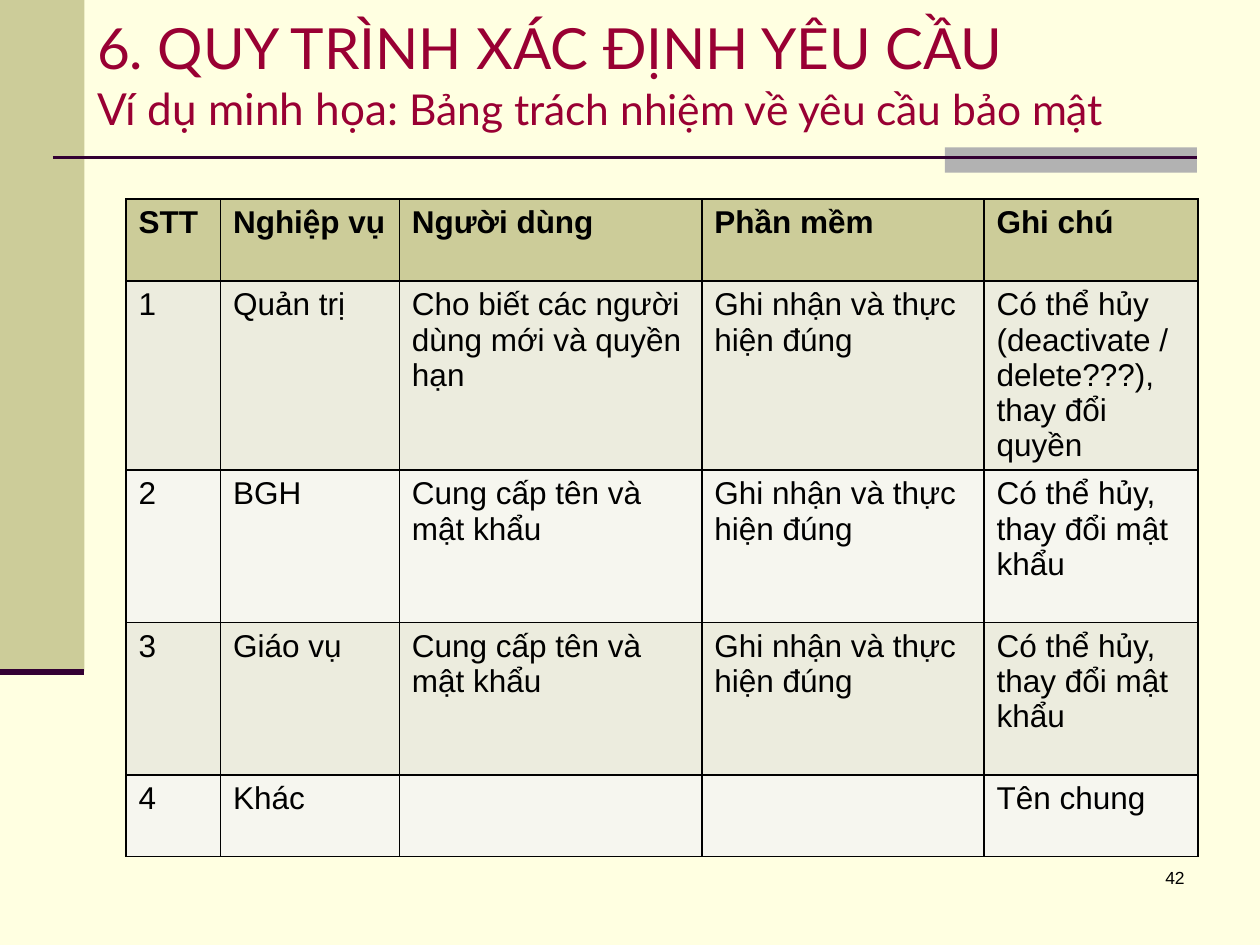
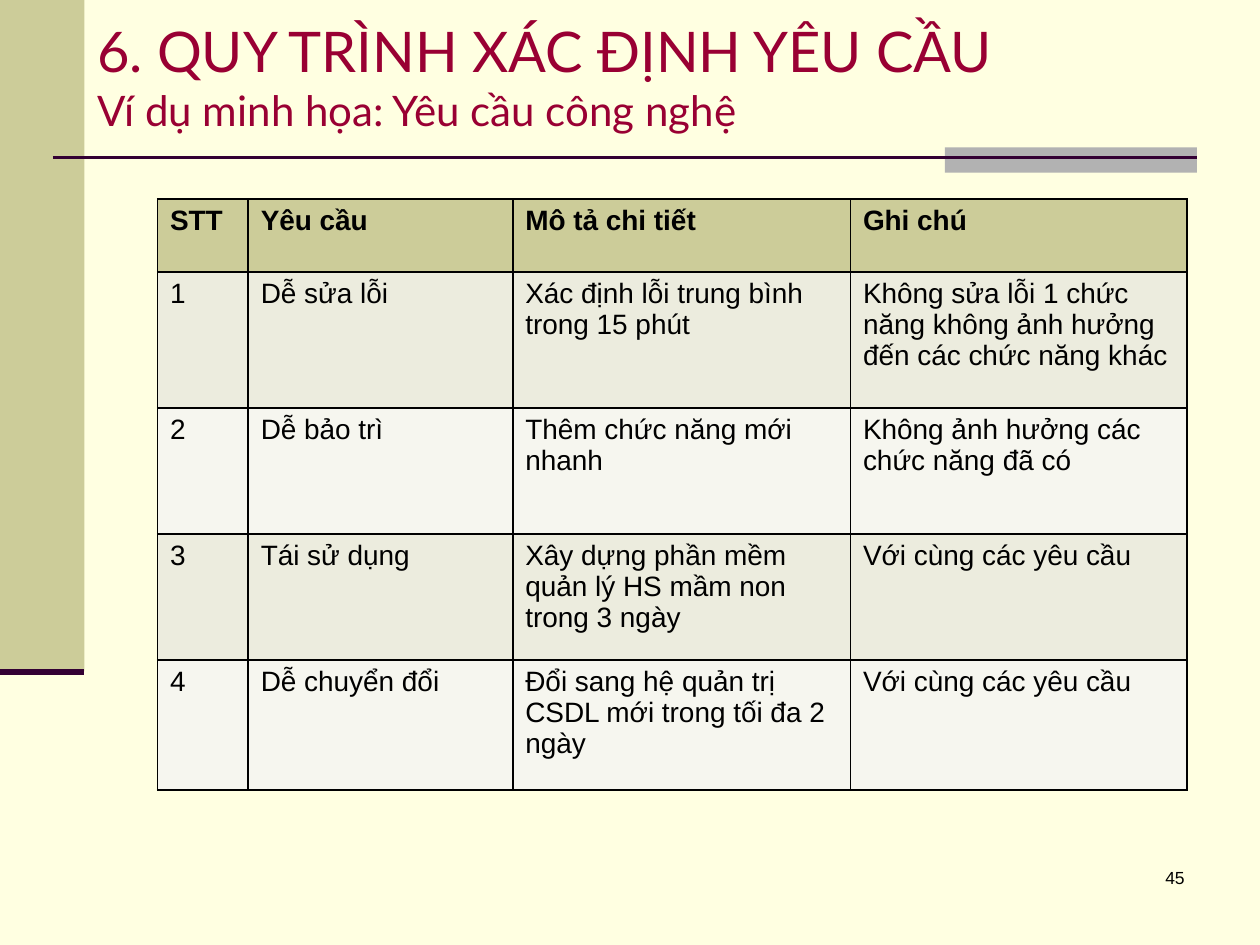
from lxml.etree import SubElement
from pptx import Presentation
from pptx.dml.color import RGBColor
from pptx.enum.shapes import MSO_CONNECTOR, MSO_SHAPE
from pptx.enum.text import MSO_ANCHOR, MSO_AUTO_SIZE, PP_ALIGN
from pptx.oxml.ns import qn
from pptx.util import Inches, Pt

CREAM = RGBColor(0xFF, 0xFF, 0xE1)
KHAKI = RGBColor(0xCC, 0xCC, 0x99)
GREY = RGBColor(0xB2, 0xB2, 0xB2)
PLUM = RGBColor(0x33, 0x00, 0x33)
CRIMSON = RGBColor(0x99, 0x00, 0x33)
BLACK = RGBColor(0, 0, 0)
ROW_FILLS = (RGBColor(0xF6, 0xF6, 0xEF), RGBColor(0xEC, 0xEC, 0xDE))

TITLE_FONT, BODY_FONT = "Lato", "Arial"
SIDE_WIDTH, SIDE_HEIGHT = 0.67, 5.33
RIGHT_EDGE = 9.5
RULE_TOP = 1.25
TABLE_TOP = 1.58

HEADING = "6. QUY TRÌNH XÁC ĐỊNH YÊU CẦU"
EXAMPLE = "Ví dụ minh họa: "
RECORD = "Ghi nhận và thực hiện đúng"
SUPPLY = "Cung cấp tên và mật khẩu"
CANCEL = "Có thể hủy, thay đổi mật khẩu"
SAME_REQUESTS = "Với cùng các yêu cầu"

SLIDES = [
    {
        "number": 42,
        "title_size": (9.33, 1.17),
        "title": [(HEADING, 32.4), (EXAMPLE, 25.2), ("Bảng trách nhiệm về yêu cầu bảo mật", 24.3)],
        "left": 1,
        "font_size": 18,
        "columns": [0.75, 1.42, 2.4, 2.24, 1.7],
        "heights": [0.65, 1.5, 1.21, 1.21, 0.65],
        "rows": [
            ("STT", "Nghiệp vụ", "Người dùng", "Phần mềm", "Ghi chú"),
            ("1", "Quản trị", "Cho biết các người dùng mới và quyền hạn", RECORD,
             "Có thể hủy (deactivate / delete???), thay đổi quyền"),
            ("2", "BGH", SUPPLY, RECORD, CANCEL),
            ("3", "Giáo vụ", SUPPLY, RECORD, CANCEL),
            ("4", "Khác", "", "", "Tên chung"),
        ],
    },
    {
        "number": 45,
        "title_size": (8.83, 1.2),
        "title": [(HEADING, 32), (EXAMPLE + "Yêu cầu công nghệ", 24)],
        "left": 1.25,
        "font_size": 16,
        "columns": [0.72, 2.1, 2.68, 2.67],
        "heights": [0.58, 1.08, 1, 1, 1.03],
        "rows": [
            ("STT", "Yêu cầu", "Mô tả chi tiết", "Ghi chú"),
            ("1", "Dễ sửa lỗi", "Xác định lỗi trung bình trong 15 phút",
             "Không sửa lỗi 1 chức năng không ảnh hưởng đến các chức năng khác"),
            ("2", "Dễ bảo trì", "Thêm chức năng mới nhanh", "Không ảnh hưởng các chức năng đã có"),
            ("3", "Tái sử dụng", "Xây dựng phần mềm quản lý HS mầm non trong 3 ngày", SAME_REQUESTS),
            ("4", "Dễ chuyển đổi", "Đổi sang hệ quản trị CSDL mới trong tối đa 2 ngày", SAME_REQUESTS),
        ],
    },
]


def set_font(font, name, color, size=None, bold=False):
    font.name = name
    font.color.rgb = color
    font.bold = bold
    if size:
        font.size = Pt(size)


def add_band(slide, left, top, width, height, color):
    band = slide.shapes.add_shape(MSO_SHAPE.RECTANGLE, *map(Inches, (left, top, width, height)))
    band.shadow.inherit = False
    band.fill.solid()
    band.fill.fore_color.rgb = color
    band.line.fill.background()


def add_rule(slide, left, right, top, weight):
    rule = slide.shapes.add_connector(MSO_CONNECTOR.STRAIGHT, *map(Inches, (left, top, right, top)))
    rule.line.color.rgb = PLUM
    rule.line.width = Pt(weight)
    SubElement(rule._element.spPr, qn("a:effectLst"))


def add_frame(slide):
    """Draw the side band, the title rule and its grey tab."""
    add_band(slide, 0, 0, SIDE_WIDTH, SIDE_HEIGHT, KHAKI)
    add_band(slide, 7.5, 1.17, 2, 0.2, GREY)
    add_rule(slide, 0.42, RIGHT_EDGE, RULE_TOP, 1.5)
    add_rule(slide, 0, SIDE_WIDTH, SIDE_HEIGHT, 3.5)


def fill_title(title, size, parts):
    """Put the first part on a line of its own and the others on the next."""
    title.left, title.top = Inches(SIDE_WIDTH), 0
    title.width, title.height = map(Inches, size)
    frame = title.text_frame
    frame.auto_size = MSO_AUTO_SIZE.NONE
    frame.vertical_anchor = MSO_ANCHOR.MIDDLE
    paragraph = frame.paragraphs[0]
    paragraph.alignment = PP_ALIGN.LEFT
    set_font(paragraph.font, TITLE_FONT, CRIMSON)
    for index, (text, points) in enumerate(parts):
        run = paragraph.add_run()
        run.text = text
        run.font.size = Pt(points)
        if index == 0:
            paragraph.add_line_break()


def add_borders(cell):
    properties = cell._tc.get_or_add_tcPr()
    for side in ("lnL", "lnR", "lnT", "lnB"):
        line = SubElement(properties, qn(f"a:{side}"), w=str(Pt(1)))
        fill = SubElement(line, qn("a:solidFill"))
        SubElement(fill, qn("a:srgbClr"), val=str(BLACK))


def add_grid(slide, content):
    rows, columns, heights = content["rows"], content["columns"], content["heights"]
    table = slide.shapes.add_table(
        len(rows), len(columns), Inches(content["left"]), Inches(TABLE_TOP),
        Inches(sum(columns)), Inches(sum(heights))).table
    for column, width in zip(table.columns, columns):
        column.width = Inches(width)
    for index, (row, height, texts) in enumerate(zip(table.rows, heights, rows)):
        row.height = Inches(height)
        for cell, text in zip(row.cells, texts):
            cell.text = text
            set_font(cell.text_frame.paragraphs[0].font, BODY_FONT, BLACK,
                     content["font_size"], bold=index == 0)
            add_borders(cell)
            cell.fill.solid()
            cell.fill.fore_color.rgb = ROW_FILLS[index % 2] if index else KHAKI


def add_number(slide, number):
    width = 2.08
    box = slide.shapes.add_textbox(*map(Inches, (RIGHT_EDGE - width, 6.83, width, 0.5)))
    box.text_frame.word_wrap = True
    paragraph = box.text_frame.paragraphs[0]
    paragraph.text = str(number)
    paragraph.alignment = PP_ALIGN.RIGHT
    set_font(paragraph.font, BODY_FONT, BLACK, 10)


def main():
    presentation = Presentation()
    presentation.slide_width, presentation.slide_height = Inches(10), Inches(7.5)
    background = presentation.slide_master.background.fill
    background.solid()
    background.fore_color.rgb = CREAM
    for content in SLIDES:
        slide = presentation.slides.add_slide(presentation.slide_layouts.get_by_name("Title Only"))
        add_frame(slide)
        fill_title(slide.shapes.title, content["title_size"], content["title"])
        add_grid(slide, content)
        add_number(slide, content["number"])
    presentation.save("out.pptx")


if __name__ == "__main__":
    main()
